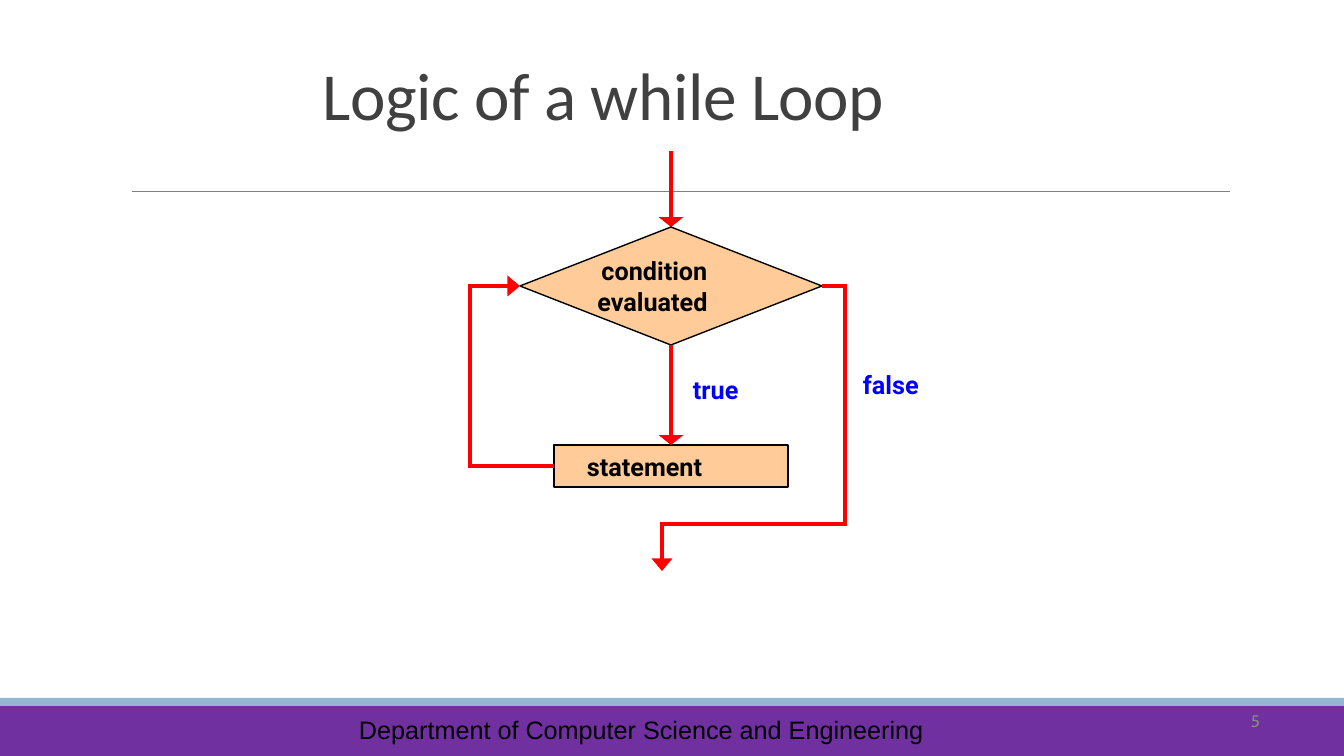
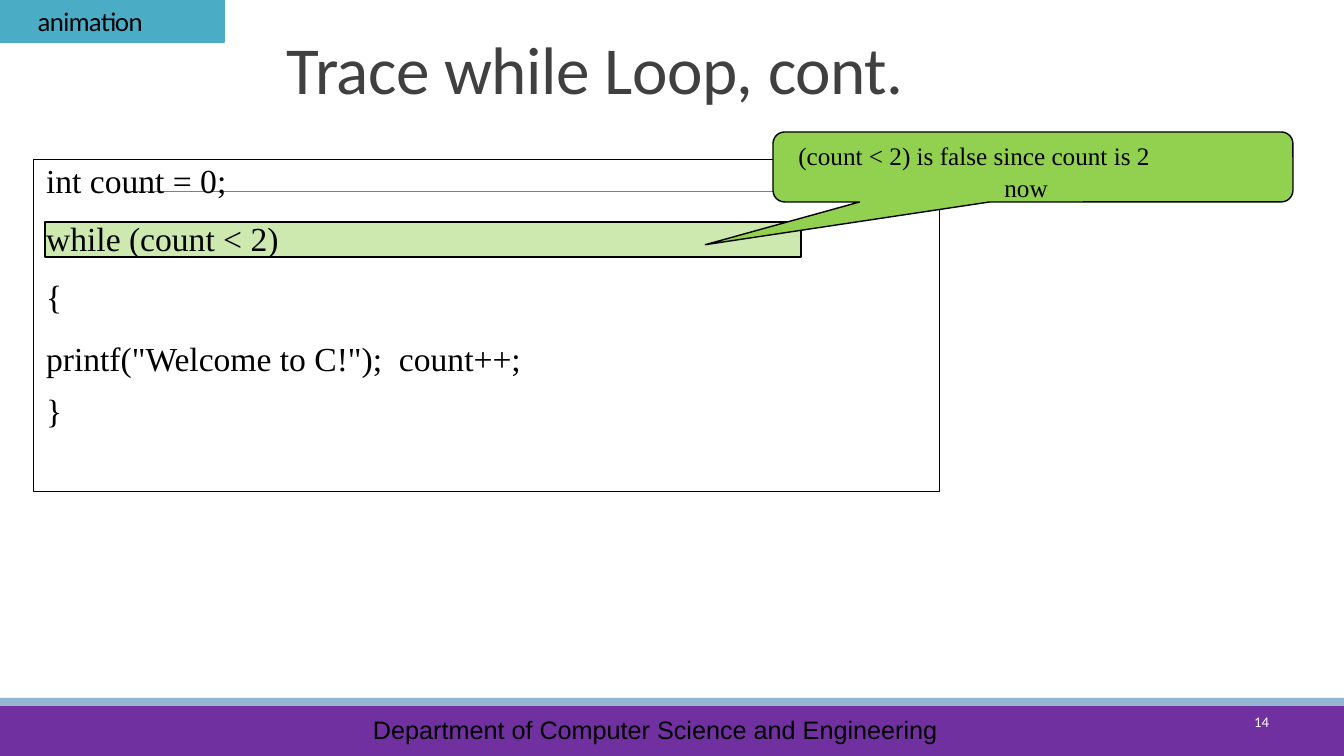
from lxml import etree
from pptx import Presentation
from pptx.dml.color import RGBColor
from pptx.enum import shapes, text
from pptx.oxml.ns import qn
from pptx.util import Pt

EMU_PER_PX = 12192000 / 1344
WIDTH, HEIGHT = 1344, 756

BLACK, WHITE = "000000", "FFFFFF"
PURPLE, PALE_BLUE, GREY = "7030A0", "94B6D2", "808080"
TITLE_GREY, NUMBER_GREY = "404040", "888888"
RED, BLUE, PEACH = "FF0000", "0000FF", "FFCC99"
GREEN, TEAL = "92D050", "4AACC5"

SHAPE = shapes.MSO_SHAPE
ANCHOR = text.MSO_ANCHOR
ALIGN = text.PP_ALIGN


def px(length):
    return round(length * EMU_PER_PX)


def colour(value):
    return RGBColor.from_string(value)


def place(shape, left, top, width, height):
    shape.left, shape.top = px(left), px(top)
    shape.width, shape.height = px(width), px(height)


def write(shape, lines, font, size, ink, bold=False, inset=(0, 0),
          anchor=ANCHOR.MIDDLE, align=ALIGN.LEFT, gaps=None, tracking=0):
    """Fill a shape with one paragraph per line; gaps and tracking are in points."""
    frame = shape.text_frame
    frame.auto_size = text.MSO_AUTO_SIZE.NONE
    frame.word_wrap = True
    frame.vertical_anchor = anchor
    frame.margin_left, frame.margin_top = (px(side) for side in inset)
    frame.margin_right = frame.margin_bottom = 0
    frame.text = "\n".join(lines)
    for para, gap in zip(frame.paragraphs, gaps or [0] * len(lines)):
        para.alignment = align
        para.space_before = Pt(gap)
        para.font.name, para.font.size = font, Pt(size)
        para.font.bold = bold
        para.font.color.rgb = colour(ink)
    if tracking:
        for style in shape.element.iter(qn("a:defRPr")):
            style.set("spc", str(round(tracking * 100)))


def indent(shape, line, kind, length):
    """Set marL (whole paragraph) or indent (its first line) on one paragraph."""
    list(shape.element.iter(qn("a:pPr")))[line].set(kind, str(px(length)))


def label(page, area, line, font, size, ink, **style):
    box = page.shapes.add_textbox(*map(px, area))
    write(box, [line], font, size, ink, **style)
    return box


def outline(shape, ink, points):
    shape.line.color.rgb = colour(ink)
    shape.line.width = Pt(points)


def block(page, kind, area, fill=None, line=None, points=1, opacity=100):
    shape = page.shapes.add_shape(kind, *map(px, area))
    shape.shadow.inherit = False
    if fill:
        shape.fill.solid()
        shape.fill.fore_color.rgb = colour(fill)
        if opacity < 100:
            tint = shape.element.spPr.find(qn("a:solidFill"))[0]
            etree.SubElement(tint, qn("a:alpha"), val=str(opacity * 1000))
    else:
        shape.fill.background()
    if line:
        outline(shape, line, points)
    else:
        shape.line.fill.background()
    return shape


def straight(page, start, end, ink, points):
    line = page.shapes.add_connector(
        shapes.MSO_CONNECTOR.STRAIGHT, *map(px, (*start, *end)))
    outline(line, ink, points)
    etree.SubElement(line.element.spPr, qn("a:effectLst"))
    return line


def add_head(line, length):
    """End a line in a wide arrowhead with square corners."""
    stroke = line.element.spPr.get_or_add_ln()
    etree.SubElement(stroke, qn("a:miter"), lim="800000")
    etree.SubElement(stroke, qn("a:tailEnd"), type="triangle", w="lg", len=length)


def bent_arrow(page, points, head_length):
    start, *others = points
    builder = page.shapes.build_freeform(*start, scale=EMU_PER_PX)
    builder.add_line_segments(others, close=False)
    route = builder.convert_to_shape()
    route.shadow.inherit = False
    route.fill.background()
    outline(route, RED, 3)
    add_head(route, head_length)


def prepare_layout(layout, page):
    """Give the layout the shared bands and rule, drawn by way of a page."""
    for holder in list(layout.placeholders):
        if holder.placeholder_format.type != shapes.PP_PLACEHOLDER.TITLE:
            holder.element.getparent().remove(holder.element)
        else:
            place(holder, 322, 51, 700, 83)
    for shape in (
        block(page, SHAPE.RECTANGLE, (0, 706, WIDTH, 50), PURPLE),
        block(page, SHAPE.RECTANGLE, (0, 698, WIDTH, 8), PALE_BLUE),
        straight(page, (132, 191), (1230, 191), GREY, 0.5),
    ):
        layout.shapes.element.append(shape.element)


def add_title(page, words, left, top):
    title = page.shapes.title
    place(title, left, top, 770, 83)
    write(title, [words], "Calibri", 48, TITLE_GREY, inset=(1, 1),
          anchor=ANCHOR.BOTTOM, tracking=-0.3)


def add_footer(page, left):
    label(page, (left, 709, 600, 40),
          "Department of Computer Science and Engineering", "Arial", 18, BLACK)


def draw_flowchart(page):
    entry = straight(page, (671, 151), (671, 227), RED, 3.5)
    condition = block(page, SHAPE.DIAMOND, (520, 227, 302, 118), PEACH, BLACK)
    write(condition, ["condition evaluated"], "Roboto", 18, BLACK, bold=True,
          inset=(2, 0))
    indent(condition, 0, "indent", 4)
    statement = block(page, SHAPE.RECTANGLE, (554, 445, 234, 42), PEACH, BLACK)
    write(statement, ["statement"], "Roboto", 18, BLACK, bold=True, inset=(33, 0))

    entry.end_connect(condition, 0)
    when_true = straight(page, (671, 345), (671, 445), RED, 3.5)
    when_true.begin_connect(condition, 2)
    when_true.end_connect(statement, 0)
    for arrow in (entry, when_true):
        add_head(arrow, "sm")

    bent_arrow(page, [(554, 466), (470, 466), (470, 286), (520, 286)], "med")
    bent_arrow(page, [(822, 286), (845, 286), (845, 524), (662, 524), (662, 571)],
               "med")
    for word, left, top in (("true", 693, 373), ("false", 863, 368)):
        label(page, (left, top, 80, 33), word, "Roboto", 18, BLUE, bold=True)


def draw_trace(page):
    block(page, SHAPE.RECTANGLE, (45, 222, 756, 35), GREEN, BLACK, opacity=45)
    code = block(page, SHAPE.RECTANGLE, (33, 159, 907, 333), line=BLACK, points=0.75)
    write(code, ["int count = 0;", "while (count < 2)", "{",
                 'printf("Welcome to C!");  count++;', "}"],
          "Times New Roman", 24, BLACK, inset=(13, 1), anchor=ANCHOR.TOP,
          gaps=[0, 12.5, 12.5, 16, 8])

    callout = block(page, SHAPE.ROUNDED_RECTANGULAR_CALLOUT, (773, 132, 520, 70),
                    GREEN, BLACK)
    callout.adjustments[0], callout.adjustments[1] = -0.63, 1.11
    write(callout, ["(count < 2) is false since count is 2", "now"],
          "Times New Roman", 18, BLACK, inset=(22, 5), anchor=ANCHOR.TOP, gaps=[0, 1])
    indent(callout, 1, "marL", 206)

    tag = block(page, SHAPE.RECTANGLE, (0, 0, 224, 42), TEAL, TEAL)
    write(tag, ["animation"], "Lato", 18, BLACK, inset=(38, 0), tracking=-0.4)


def main():
    deck = Presentation()
    deck.slide_width, deck.slide_height = px(WIDTH), px(HEIGHT)
    layout = deck.slide_layouts.get_by_name("Title Only")

    logic = deck.slides.add_slide(layout)
    prepare_layout(layout, logic)
    add_title(logic, "Logic of a while Loop", 322, 51)
    draw_flowchart(logic)
    add_footer(logic, 359)
    label(logic, (1251, 712, 20, 17), "5", "Cabin", 12, NUMBER_GREY)

    trace = deck.slides.add_slide(layout)
    add_title(trace, "Trace while Loop, cont.", 286, 25)
    draw_trace(trace)
    add_footer(trace, 373)
    label(trace, (1235, 713, 34, 17), "14", "Calibri", 10.5, WHITE, align=ALIGN.RIGHT)

    deck.save("out.pptx")


if __name__ == "__main__":
    main()
